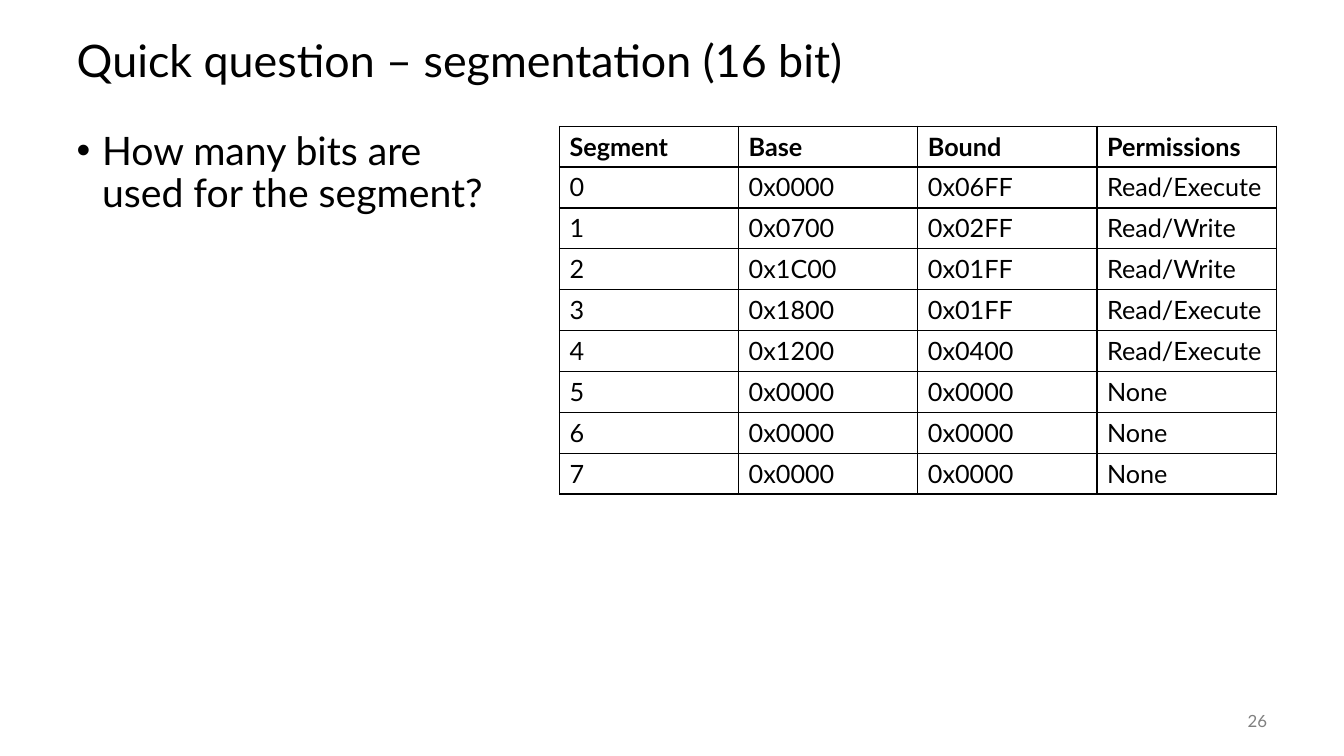
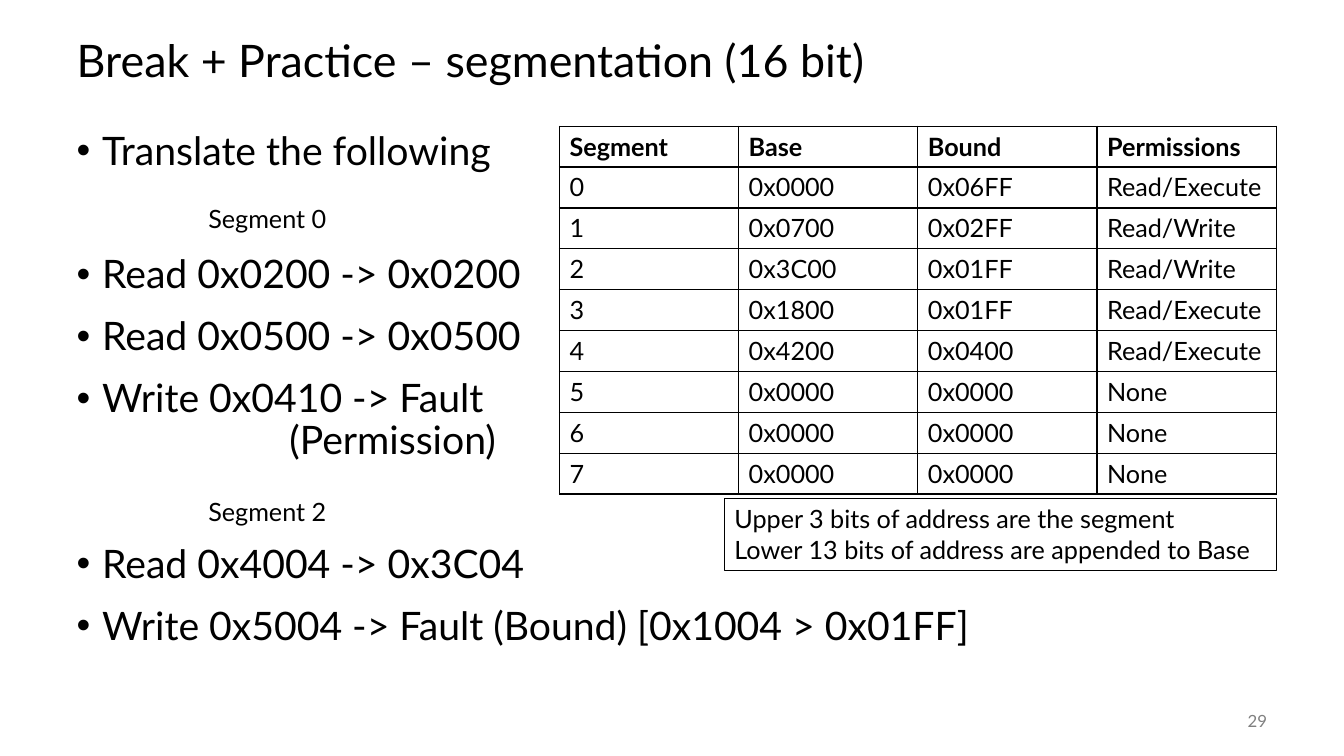
from lxml import etree
from pptx import Presentation
from pptx.dml.color import RGBColor
from pptx.enum.shapes import MSO_SHAPE
from pptx.enum.text import MSO_ANCHOR, MSO_AUTO_SIZE, PP_ALIGN
from pptx.oxml.ns import qn
from pptx.util import Cm, Pt

LEFT, RIGHT = PP_ALIGN.LEFT, PP_ALIGN.RIGHT
TOP, MIDDLE = MSO_ANCHOR.TOP, MSO_ANCHOR.MIDDLE
RECT = MSO_SHAPE.RECTANGLE

# Content
HEADER = ("Segment", "Base", "Bound", "Permissions")
BOUNDS = ("0x06FF", "0x02FF", "0x01FF", "0x01FF", "0x0400") + ("0x0000",) * 3
PERMISSIONS = ("Read/Execute", "Read/Write", "Read/Write",
               "Read/Execute", "Read/Execute") + ("None",) * 3
UNUSED = ("0x0000",) * 3

# A body item is (text, kind); the kinds are defined in ITEM_KINDS
SLIDES = [
    {
        "title": "Quick question – segmentation (16 bit)",
        "number": "26",
        "body_width": 11.35,
        "body": [("How many bits are used for the segment?", "first")],
        "bases": ("0x0000", "0x0700", "0x1C00", "0x1800", "0x1200") + UNUSED,
        "labels": [],
        "note": [],
    },
    {
        "title": "Break + Practice – segmentation (16 bit)",
        "number": "29",
        "body_width": 23.75,
        "body": [
            ("Translate the following", "first"),
            ("Read 0x0200 -> 0x0200", "group"),
            ("Read 0x0500 -> 0x0500", "item"),
            ("Write 0x0410 -> Fault", "item"),
            ("(Permission)", "continued"),
            ("Read 0x4004 -> 0x3C04", "group"),
            ("Write 0x5004 -> Fault (Bound) [0x1004 > 0x01FF]", "item"),
        ],
        "bases": ("0x0000", "0x0700", "0x3C00", "0x1800", "0x4200") + UNUSED,
        "labels": [("Segment 0", 5), ("Segment 2", 12.37)],
        "note": ["Upper 3 bits of address are the segment",
                 "Lower 13 bits of address are appended to Base"],
    },
]

# Theme: colours, type sizes, line widths
BLACK, GREY, WHITE = (RGBColor.from_string(c)
                      for c in ("000000", "808080", "FFFFFF"))
FONT = "Lato"
THEME = {
    "title": {"name": FONT, "size": Pt(32), "color": BLACK},
    "body": {"name": FONT, "size": Pt(28), "color": BLACK},
    "small": {"name": FONT, "size": Pt(18), "color": BLACK, "bold": False},
    "header": {"name": FONT, "size": Pt(18), "color": BLACK, "bold": True},
    "number": {"name": FONT, "size": Pt(12), "color": GREY},
    "border": Pt(1),
    "outline": Pt(0.75),
}
TIGHT = 0.9

# Kind: space before (pt), bullet, left indent (cm)
BULLET_INDENT = 0.64
ITEM_KINDS = {
    "first": (0, True, BULLET_INDENT),
    "item": (14, True, BULLET_INDENT),
    "group": (58, True, BULLET_INDENT),
    "continued": (0, False, 5.36),
}

# Layout in cm
MARGIN, CONTENT_TOP = 1.68, 3.18
TITLE_BOX = (MARGIN, 0.64, 30.48, 1.9)
NUMBER_BOX = (29.64, 17.65, 2.54, 1.02)
BODY_HEIGHT = 13.97
TABLE_LEFT, TABLE_WIDTH, ROW_HEIGHT = 14.1, 18.06, 1.03
LABEL_LEFT, LABEL_WIDTH, LABEL_HEIGHT = 5, 7.34, 1.02
NOTE_TOP, NOTE_WIDTH, NOTE_HEIGHT = 12.57, 13.9, 1.8


def place(sp, box):
    for name, value in zip(("left", "top", "width", "height"), box):
        setattr(sp, name, Cm(value))


def set_text(tf, lines, style, anchor=TOP, align=LEFT):
    """Write one paragraph a line, all in one style."""
    tf.word_wrap = True
    tf.vertical_anchor = anchor
    for i, line in enumerate(lines):
        p = tf.paragraphs[0] if i == 0 else tf.add_paragraph()
        p.alignment = align
        r = p.add_run()
        r.text = line
        for name, value in THEME[style].items():
            if name == "color":
                r.font.color.rgb = value
            else:
                setattr(r.font, name, value)


def add_label(s, box, lines, style, **options):
    sp = s.shapes.add_textbox(*map(Cm, box))
    set_text(sp.text_frame, lines, style, **options)


def add_title(s, text):
    sp = s.shapes.title
    place(sp, TITLE_BOX)
    sp.text_frame.auto_size = MSO_AUTO_SIZE.NONE
    set_text(sp.text_frame, [text], "title", anchor=MIDDLE)
    sp.text_frame.paragraphs[0].line_spacing = TIGHT


def add_body(s, items, width):
    sp = s.placeholders[1]
    place(sp, (MARGIN, CONTENT_TOP, width, BODY_HEIGHT))
    tf = sp.text_frame
    tf.auto_size = MSO_AUTO_SIZE.NONE
    set_text(tf, [text for text, _ in items], "body")
    for p, (_, kind) in zip(tf.paragraphs, items):
        space, bullet, indent = ITEM_KINDS[kind]
        pPr = p._p.get_or_add_pPr()
        pPr.set("marL", str(Cm(indent)))
        pPr.set("indent", str(-Cm(BULLET_INDENT) if bullet else 0))
        if bullet:
            etree.SubElement(pPr, qn("a:buChar"), char="•")
        else:
            etree.SubElement(pPr, qn("a:buNone"))
        p.line_spacing = TIGHT
        p.space_before = Pt(space)


def add_borders(cell):
    tcPr = cell._tc.get_or_add_tcPr()
    for i, side in enumerate(("a:lnL", "a:lnR", "a:lnT", "a:lnB")):
        ln = etree.Element(qn(side), w=str(THEME["border"]))
        fill = etree.SubElement(ln, qn("a:solidFill"))
        etree.SubElement(fill, qn("a:srgbClr"), val=str(BLACK))
        tcPr.insert(i, ln)


def add_segment_table(s, bases):
    segments = map(str, range(len(bases)))
    rows = [HEADER, *zip(segments, bases, BOUNDS, PERMISSIONS)]
    box = (TABLE_LEFT, CONTENT_TOP, TABLE_WIDTH, ROW_HEIGHT * len(rows))
    table = s.shapes.add_table(len(rows), len(HEADER), *map(Cm, box)).table
    table.first_row = table.horz_banding = False
    for column in table.columns:
        column.width = Cm(TABLE_WIDTH / len(HEADER))
    for i, row in enumerate(rows):
        table.rows[i].height = Cm(ROW_HEIGHT)
        for j, text in enumerate(row):
            cell = table.cell(i, j)
            cell.fill.solid()
            cell.fill.fore_color.rgb = WHITE
            add_borders(cell)
            set_text(cell.text_frame, [text], "small" if i else "header")


def add_note(s, lines):
    left = TABLE_LEFT + TABLE_WIDTH - NOTE_WIDTH
    box = (left, NOTE_TOP, NOTE_WIDTH, NOTE_HEIGHT)
    sp = s.shapes.add_shape(RECT, *map(Cm, box))
    sp.shadow.inherit = False
    sp.fill.background()
    sp.line.color.rgb = BLACK
    sp.line.width = THEME["outline"]
    set_text(sp.text_frame, lines, "small")


def main():
    prs = Presentation()
    prs.slide_width, prs.slide_height = Cm(33.87), Cm(19.05)
    for content in SLIDES:
        s = prs.slides.add_slide(prs.slide_layouts[1])
        add_title(s, content["title"])
        add_body(s, content["body"], content["body_width"])
        add_label(s, NUMBER_BOX, [content["number"]], "number",
                  anchor=MIDDLE, align=RIGHT)
        add_segment_table(s, content["bases"])
        for text, top in content["labels"]:
            box = (LABEL_LEFT, top, LABEL_WIDTH, LABEL_HEIGHT)
            add_label(s, box, [text], "small")
        if content["note"]:
            add_note(s, content["note"])
    prs.save("out.pptx")


if __name__ == "__main__":
    main()
